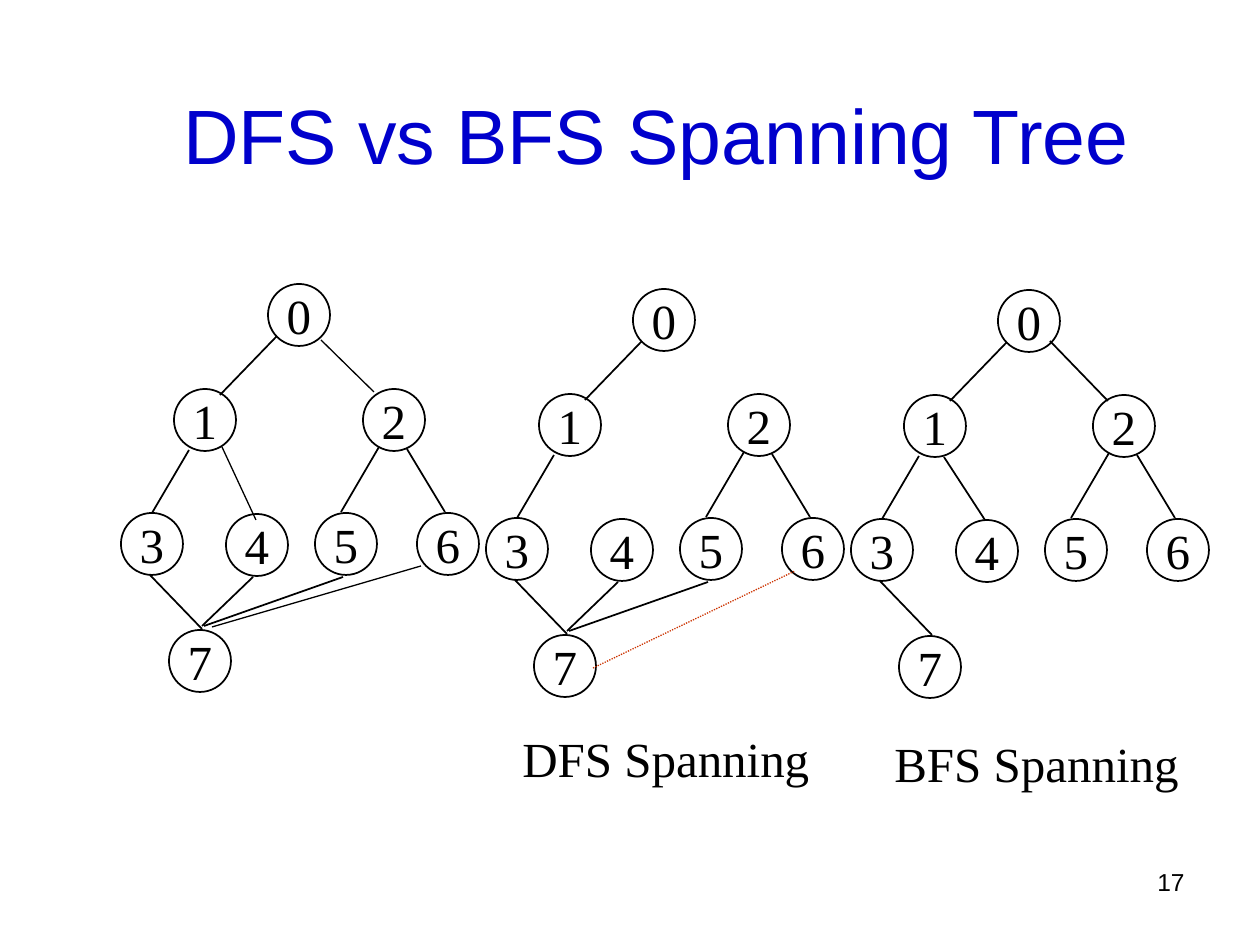
from dataclasses import dataclass

from lxml import etree
from pptx import Presentation
from pptx import util as u
from pptx.dml.color import RGBColor
from pptx.enum import dml, shapes, text
from pptx.oxml.ns import qn

PX = 914400 / 126
NODE = 62


@dataclass(frozen=True)
class Theme:
    title: str = "0000CC"
    ink: str = "000000"
    paper: str = "FFFFFF"
    dropped: str = "CC3300"
    sans: str = "Arial"
    serif: str = "Times New Roman"
    title_size: int = 44
    body_size: int = 28
    number_size: int = 14
    line: float = 1
    thin: float = 0.75


T = Theme()

NODES = [(268, 284), (174, 389), (363, 389), (121, 513),
         (226, 514), (315, 513), (417, 513), (169, 630)]

EDGES = {
    "0-1": (277, 336, 220, 395),
    "0-2": (320, 335, 378, 395),
    "1-3": (189, 450, 152, 513),
    "1-4": (214, 451, 255, 514),
    "2-5": (379, 447, 341, 512),
    "2-6": (407, 449, 445, 512),
    "3-7": (150, 575, 202, 629),
    "4-7": (202, 626, 253, 577),
    "5-7": (204, 626, 343, 577),
}
THIN_EDGES = [(321, 340, 374, 392), (222, 447, 256, 520), (212, 627, 421, 566)]
DROPPED_EDGE = (228, 663, 430, 566)

GRAPH_EDGES = ["0-1", "1-3", "2-5", "2-6", "3-7", "4-7", "5-7"]
DFS_EDGES = GRAPH_EDGES
BFS_EDGES = ["0-1", "0-2", "1-3", "1-4", "2-5", "2-6", "3-7"]


def px(*values):
    return [u.Emu(round(v * PX)) for v in values]


def rgb(value):
    return RGBColor.from_string(value)


def write(sp, words, font=T.serif, size=T.body_size, color=T.ink,
          align=text.PP_ALIGN.LEFT, anchor=text.MSO_ANCHOR.TOP, wrap=False):
    tf = sp.text_frame
    tf.word_wrap = wrap
    tf.vertical_anchor = anchor
    p = tf.paragraphs[0]
    p.alignment = align
    r = p.add_run()
    r.text = words
    r.font.name = font
    r.font.size = u.Pt(size)
    r.font.color.rgb = rgb(color)


def add_title(s, words):
    sp = s.shapes.title
    sp.left, sp.top, sp.width, sp.height = px(94, 55, 1125, 158)
    write(sp, words, font=T.sans, size=T.title_size, color=T.title,
          align=text.PP_ALIGN.CENTER, anchor=text.MSO_ANCHOR.MIDDLE, wrap=True)


def add_label(s, box, words, **fmt):
    write(s.shapes.add_textbox(*px(*box)), words, **fmt)


def add_node(s, x, y, words):
    sp = s.shapes.add_shape(shapes.MSO_SHAPE.OVAL, *px(x, y, NODE, NODE))
    sp.shadow.inherit = False
    sp.fill.solid()
    sp.fill.fore_color.rgb = rgb(T.paper)
    sp.line.color.rgb = rgb(T.ink)
    sp.line.width = u.Pt(T.line)
    write(sp, words, align=text.PP_ALIGN.CENTER, anchor=text.MSO_ANCHOR.MIDDLE)


def add_edge(s, ends, dx, dy, width=T.line, color=T.ink, dash=None):
    x1, y1, x2, y2 = ends
    cn = s.shapes.add_connector(shapes.MSO_CONNECTOR.STRAIGHT,
                                *px(x1 + dx, y1 + dy, x2 + dx, y2 + dy))
    cn.line.color.rgb = rgb(color)
    cn.line.width = u.Pt(width)
    if dash is not None:
        cn.line.dash_style = dash
    etree.SubElement(cn._element.spPr, qn("a:effectLst"))


def add_tree(s, dx, dy, edges):
    for i, (x, y) in enumerate(NODES):
        add_node(s, x + dx, y + dy, str(i))
    for name in edges:
        add_edge(s, EDGES[name], dx, dy)


def main():
    prs = Presentation()
    prs.slide_width, prs.slide_height = px(1260, 945)
    s = prs.slides.add_slide(prs.slide_layouts[5])

    add_title(s, "DFS vs BFS Spanning Tree")
    add_tree(s, 365, 5, DFS_EDGES)
    add_tree(s, 730, 6, BFS_EDGES)
    add_tree(s, 0, 0, GRAPH_EDGES)
    for ends in THIN_EDGES:
        add_edge(s, ends, 0, 0, width=T.thin)
    add_edge(s, DROPPED_EDGE, 365, 5, width=T.thin, color=T.dropped,
             dash=dml.MSO_LINE.ROUND_DOT)

    add_label(s, (510, 722, 312, 72), "DFS Spanning")
    add_label(s, (882, 727, 310, 72), "BFS Spanning")
    add_label(s, (903, 861, 294, 66), "17", font=T.sans, size=T.number_size,
              align=text.PP_ALIGN.RIGHT, wrap=True)
    prs.save("out.pptx")


if __name__ == "__main__":
    main()
